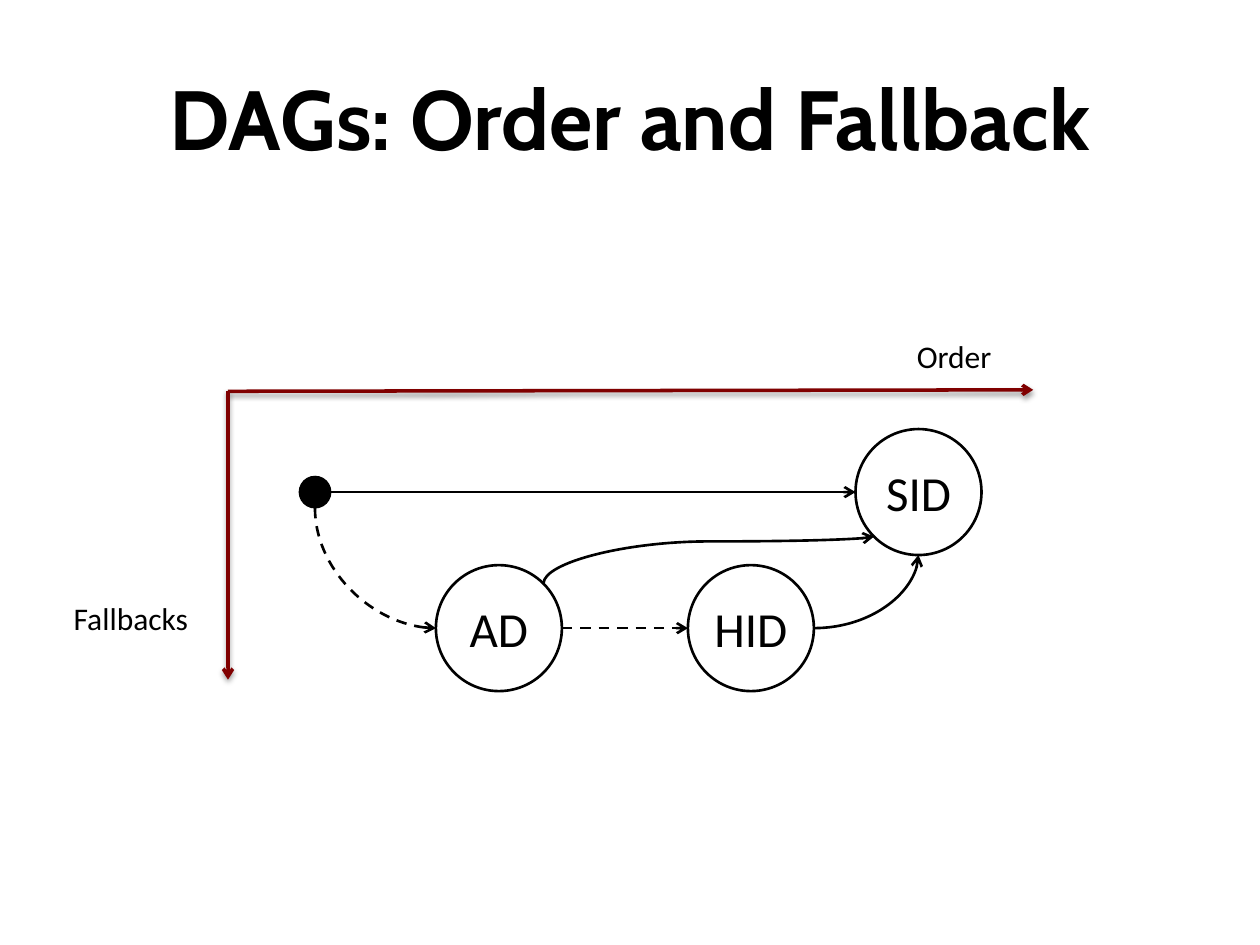
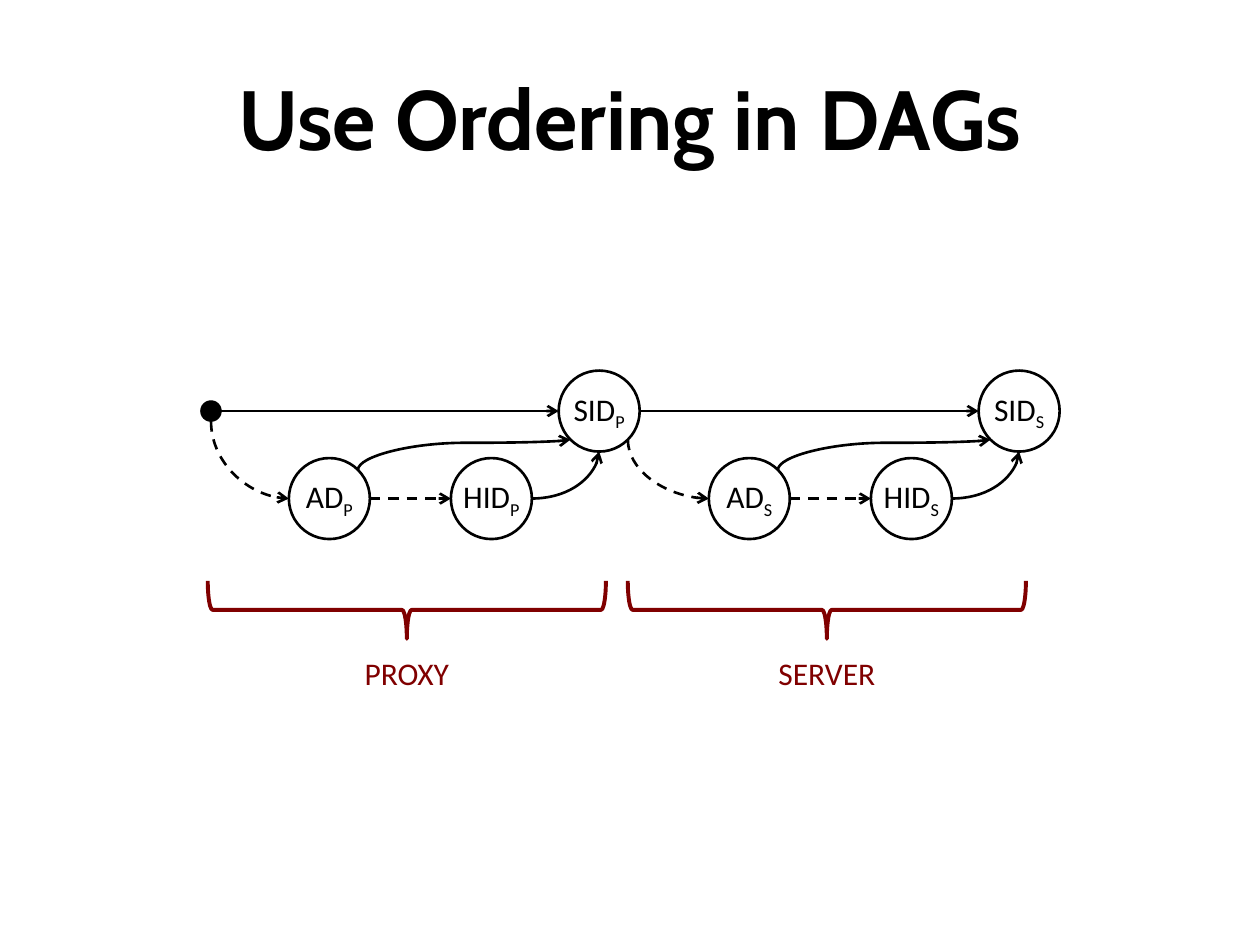
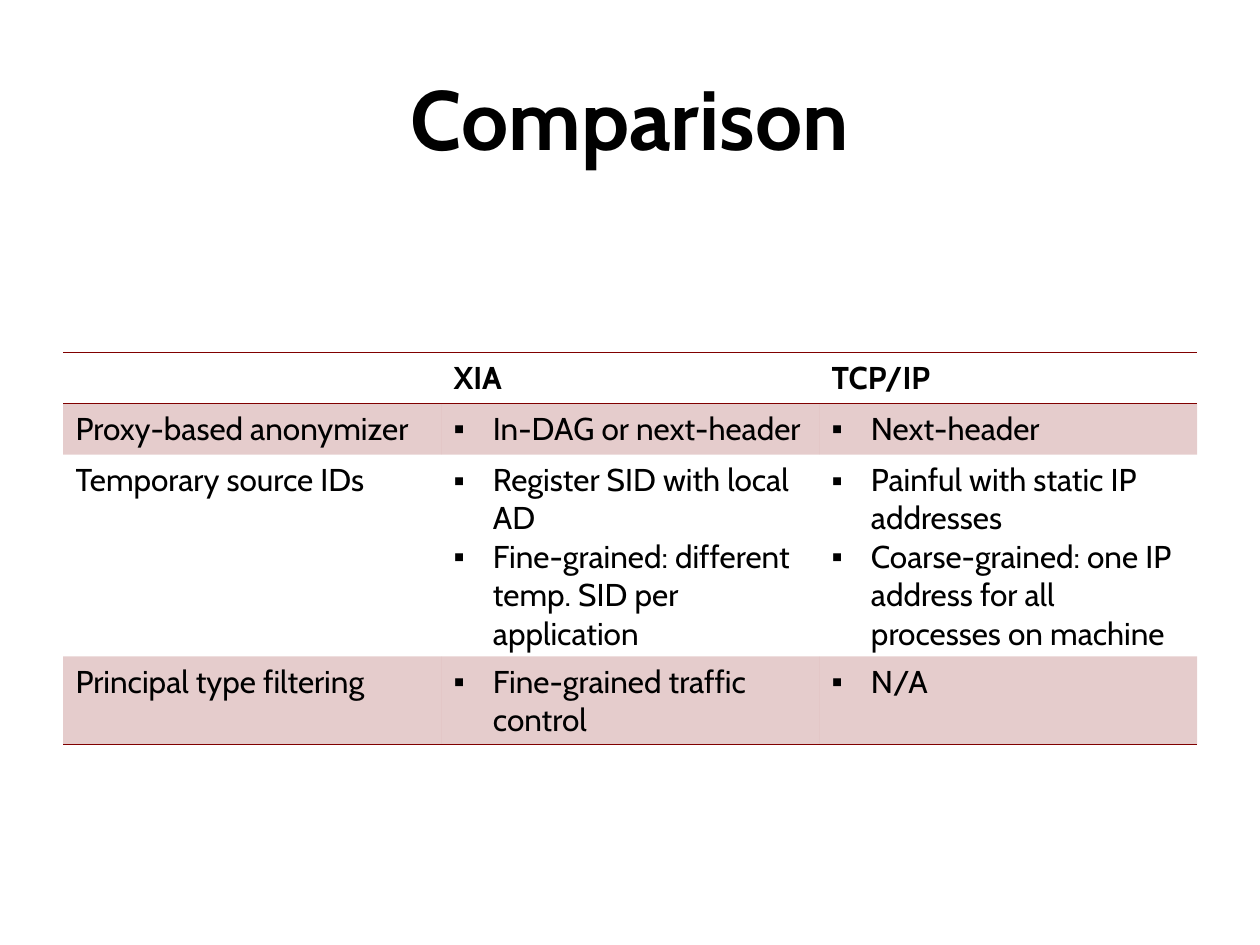
from dataclasses import dataclass

from lxml import etree
from pptx import Presentation
from pptx import util as u
from pptx.dml.color import RGBColor
from pptx.enum import dml, shapes, text
from pptx.oxml.ns import qn


@dataclass(frozen=True)
class Theme:
    ink: RGBColor = RGBColor(0, 0, 0)
    accent: RGBColor = RGBColor(0x80, 0, 0)
    title_font: str = "Cabin"
    label_font: str = "Calibri"
    title_size: float = 48
    node_size: float = 28
    text_size: float = 18
    stroke: float = 1.5
    axis_stroke: float = 2
    brace_stroke: float = 2.25


THEME = Theme()
NO_GRID_STYLE = "{2D5ABB26-0587-4C30-8999-92F81FD0307C}"
COMPARISON = [
    ["", ["XIA"], ["TCP/IP"]],
    ["Proxy-based anonymizer", ["In-DAG or next-header"], ["Next-header"]],
    ["Temporary source IDs",
     ["Register SID with local AD",
      "Fine-grained: different temp. SID per application"],
     ["Painful with static IP addresses",
      "Coarse-grained: one IP address for all processes on machine"]],
    ["Principal type filtering", ["Fine-grained traffic control"], ["N/A"]],
]


def add_node(parent, tag, **attributes):
    node = etree.SubElement(parent, qn(tag))
    for name, value in attributes.items():
        node.set(name, str(value))
    return node


def style_span(span, size, font, color=THEME.ink, bold=False):
    span.font.size = u.Pt(size)
    span.font.name = font
    span.font.color.rgb = color
    span.font.bold = bold


def add_label(page, words, left, top, width, height, size=THEME.text_size,
              font=THEME.label_font, color=THEME.ink, bold=False,
              align=text.PP_ALIGN.LEFT, wrap=True):
    box = page.shapes.add_textbox(u.Pt(left), u.Pt(top), u.Pt(width), u.Pt(height))
    frame = box.text_frame
    frame.word_wrap = wrap
    frame.text = words
    para = frame.paragraphs[0]
    para.alignment = align
    style_span(para.runs[0], size, font, color, bold)
    return box


def add_page(deck, title):
    page = deck.slides.add_slide(deck.slide_layouts[6])
    box = add_label(page, title, 36, 21.6, 648, 90, THEME.title_size,
                    THEME.title_font, bold=True, align=text.PP_ALIGN.CENTER)
    box.text_frame.vertical_anchor = text.MSO_ANCHOR.MIDDLE
    return page


def add_circle(page, center, diameter, stroke):
    left, top = (value - diameter / 2 for value in center)
    circle = page.shapes.add_shape(shapes.MSO_SHAPE.OVAL, u.Pt(left), u.Pt(top),
                                   u.Pt(diameter), u.Pt(diameter))
    circle.shadow.inherit = False
    circle.line.color.rgb = THEME.ink
    circle.line.width = u.Pt(stroke)
    return circle


def add_dot(page, center, diameter):
    dot = add_circle(page, center, diameter, 0.75)
    dot.fill.solid()
    dot.fill.fore_color.rgb = THEME.ink


def add_dag_node(page, center, diameter, name, suffix, size):
    circle = add_circle(page, center, diameter, THEME.stroke)
    circle.fill.background()
    frame = circle.text_frame
    frame.margin_left = frame.margin_right = frame.margin_top = frame.margin_bottom = 0
    frame.word_wrap = False
    frame.vertical_anchor = text.MSO_ANCHOR.MIDDLE
    frame.text = name
    para = frame.paragraphs[0]
    para.alignment = text.PP_ALIGN.CENTER
    if suffix:
        para.add_run().text = suffix
    for span in para.runs:
        style_span(span, size, THEME.label_font)
    if suffix:
        para.runs[1]._r.get_or_add_rPr().set("baseline", "-25000")


def add_arrow(page, start, end, kind=shapes.MSO_CONNECTOR.STRAIGHT, dashed=False,
              color=THEME.ink, stroke=THEME.stroke, shadow=False):
    arrow = page.shapes.add_connector(kind, *(u.Pt(value) for value in (*start, *end)))
    arrow.line.color.rgb = color
    arrow.line.width = u.Pt(stroke)
    if dashed:
        arrow.line.dash_style = dml.MSO_LINE.DASH
    properties = arrow.element.spPr
    add_node(properties.find(qn("a:ln")), "a:tailEnd", type="arrow")
    effects = add_node(properties, "a:effectLst")
    if shadow:
        outer = add_node(effects, "a:outerShdw", blurRad=u.Pt(3.1), dist=u.Pt(1.6),
                         dir=5400000, rotWithShape=0)
        tint = add_node(outer, "a:srgbClr", val=THEME.ink)
        add_node(tint, "a:alpha", val=38000)
    return arrow


def add_curve(page, start, end, leave="right", bends=2, dashed=False):
    arrow = add_arrow(page, start, end, shapes.MSO_CONNECTOR.CURVE, dashed)
    properties = arrow.element.spPr
    geometry = properties.find(qn("a:prstGeom"))
    geometry.set("prst", f"curvedConnector{bends}")
    if bends == 3:
        add_node(geometry.find(qn("a:avLst")), "a:gd", name="adj1", fmla="val 89800")
    if leave != "right":
        (x1, y1), (x2, y2) = start, end
        across, down = abs(x2 - x1), abs(y2 - y1)
        arrow.left = u.Pt((x1 + x2 - down) / 2)
        arrow.top = u.Pt((y1 + y2 - across) / 2)
        arrow.width, arrow.height = u.Pt(down), u.Pt(across)
        transform = properties.find(qn("a:xfrm"))
        transform.set("rot", str((270 if leave == "down" else 90) * 60000))
        transform.set("flipH", "1")
        transform.set("flipV", "0" if leave == "down" else "1")


def add_dag(page, origin, unit, size, suffix="", shared_root=None):
    def spot(center, across, down):
        return center[0] + across * unit, center[1] + down * unit

    corner = 0.5 ** 0.5 / 2
    ad, hid, sid = spot(origin, 1.46, 1.08), spot(origin, 3.46, 1.08), spot(origin, 4.79, 0)
    if shared_root:
        root_side, root_branch = spot(shared_root, 0.5, 0), spot(shared_root, corner, corner)
    else:
        add_dot(page, origin, unit / 4)
        root_side, root_branch = spot(origin, 0.125, 0), spot(origin, 0, 0.125)
    for name, center in (("HID", hid), ("SID", sid), ("AD", ad)):
        add_dag_node(page, center, unit, name, suffix, size)
    add_arrow(page, spot(ad, 0.5, 0), spot(hid, -0.5, 0), dashed=True)
    add_curve(page, root_branch, spot(ad, -0.5, 0), "down", dashed=True)
    add_curve(page, spot(hid, 0.5, 0), spot(sid, 0, 0.5))
    add_arrow(page, root_side, spot(sid, -0.5, 0))
    add_curve(page, spot(ad, corner, -corner), spot(sid, -corner, corner), "up", bends=3)
    return sid


def add_brace(page, center, words):
    width, height = 33.1, 227.5
    brace = page.shapes.add_shape(shapes.MSO_SHAPE.LEFT_BRACE, u.Pt(center - width / 2),
                                  u.Pt(348.5 - height / 2), u.Pt(width), u.Pt(height))
    brace.rotation = 270
    brace.shadow.inherit = False
    brace.fill.background()
    brace.line.color.rgb = THEME.accent
    brace.line.width = u.Pt(THEME.brace_stroke)
    add_label(page, words, center - 36, 370, 72, 29, color=THEME.accent,
              align=text.PP_ALIGN.CENTER, wrap=False)


def add_border(cell, edge):
    line = add_node(cell._tc.get_or_add_tcPr(), f"a:{edge}", w=u.Pt(1))
    add_node(add_node(line, "a:solidFill"), "a:srgbClr", val=THEME.accent)


def fill_cell(cell, banded):
    if not banded:
        cell.fill.background()
        return
    cell.fill.solid()
    cell.fill.fore_color.rgb = THEME.accent
    tint = cell._tc.tcPr.find(qn("a:solidFill")).find(qn("a:srgbClr"))
    add_node(tint, "a:alpha", val=20000)


def add_bullet(para):
    properties = para._p.get_or_add_pPr()
    properties.set("marL", str(u.Pt(22.5)))
    properties.set("indent", str(u.Pt(-22.5)))
    add_node(properties, "a:buFont", typeface="Arial")
    add_node(properties, "a:buChar", char="▪")


def write_cell(cell, content, header):
    bulleted = isinstance(content, list) and not header
    cell.text_frame.text = "\n".join(content) if isinstance(content, list) else content
    for para in cell.text_frame.paragraphs:
        if bulleted:
            add_bullet(para)
        for span in para.runs:
            style_span(span, THEME.text_size, THEME.title_font, bold=header)


def add_comparison(page, rows):
    columns = len(rows[0])
    frame = page.shapes.add_table(len(rows), columns, u.Pt(36), u.Pt(201.4),
                                  u.Pt(648), u.Pt(29.2 * len(rows)))
    table = frame.table
    table.first_row = table.horz_banding = False
    table._tbl.tblPr.find(qn("a:tableStyleId")).text = NO_GRID_STYLE
    for row, contents in enumerate(rows):
        for column, content in enumerate(contents):
            cell = table.cell(row, column)
            write_cell(cell, content, header=row == 0)
            if row == 0:
                add_border(cell, "lnT")
            if row in (0, len(rows) - 1):
                add_border(cell, "lnB")
            fill_cell(cell, banded=row % 2 == 1)


def build_order_page(deck):
    page = add_page(deck, "DAGs: Order and Fallback")
    add_dag(page, (180, 281.2), 72, THEME.node_size)
    corner = (130.3, 223.6)
    for end in ((590.4, 222.8), (130.3, 388.4)):
        add_arrow(page, corner, end, color=THEME.accent,
                  stroke=THEME.axis_stroke, shadow=True)
    add_label(page, "Order", 516.8, 188.9, 59.3, 29)
    add_label(page, "Fallbacks", 35, 338.6, 84.5, 29)


def build_ordering_page(deck):
    page = add_page(deck, "Use Ordering in DAGs")
    left, top, unit, step = 120.6, 234.9, 46.3, 240
    proxy = add_dag(page, (left, top), unit, THEME.text_size, "P")
    add_dag(page, (left + step, top), unit, THEME.text_size, "S", proxy)
    for index, words in enumerate(("PROXY", "SERVER")):
        add_brace(page, 232.5 + index * step, words)


def build_comparison_page(deck):
    page = add_page(deck, "Comparison")
    add_comparison(page, COMPARISON)


def main():
    deck = Presentation()
    deck.slide_width, deck.slide_height = u.Pt(720), u.Pt(540)
    build_order_page(deck)
    build_ordering_page(deck)
    build_comparison_page(deck)
    deck.save("out.pptx")


main()
